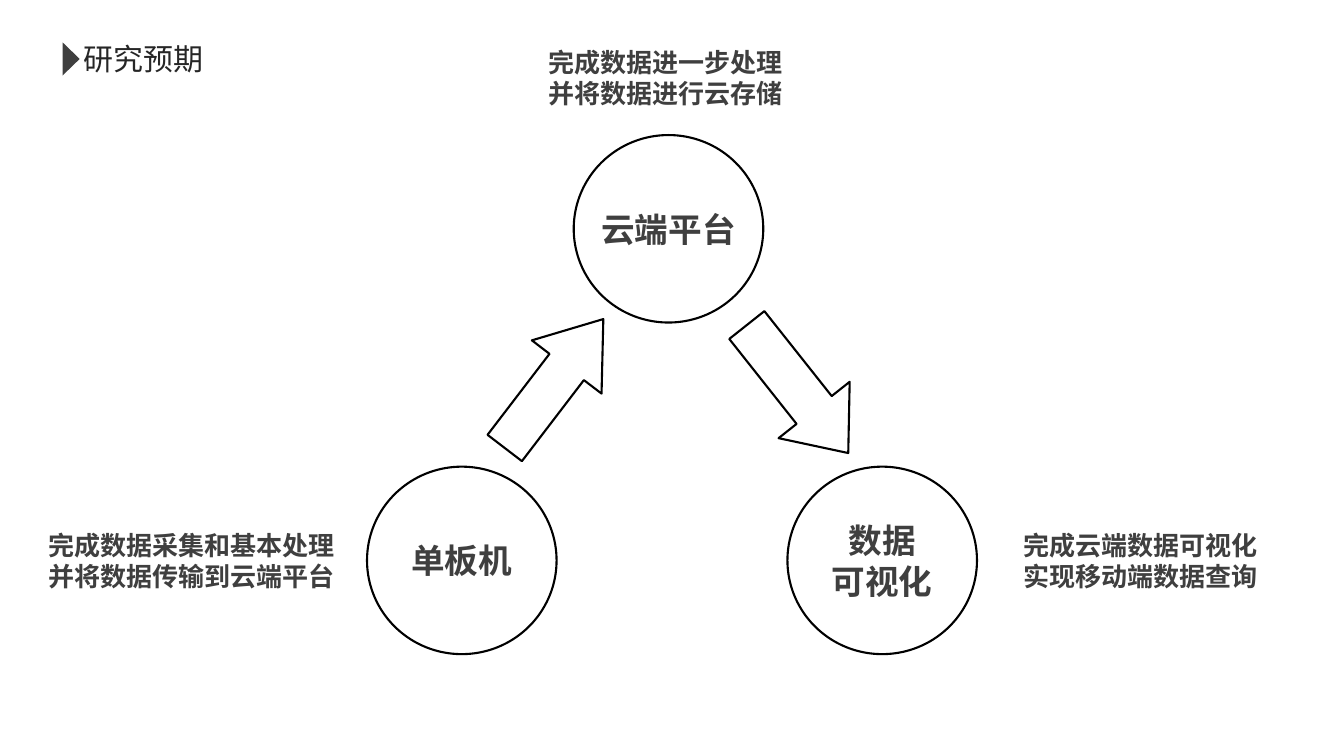
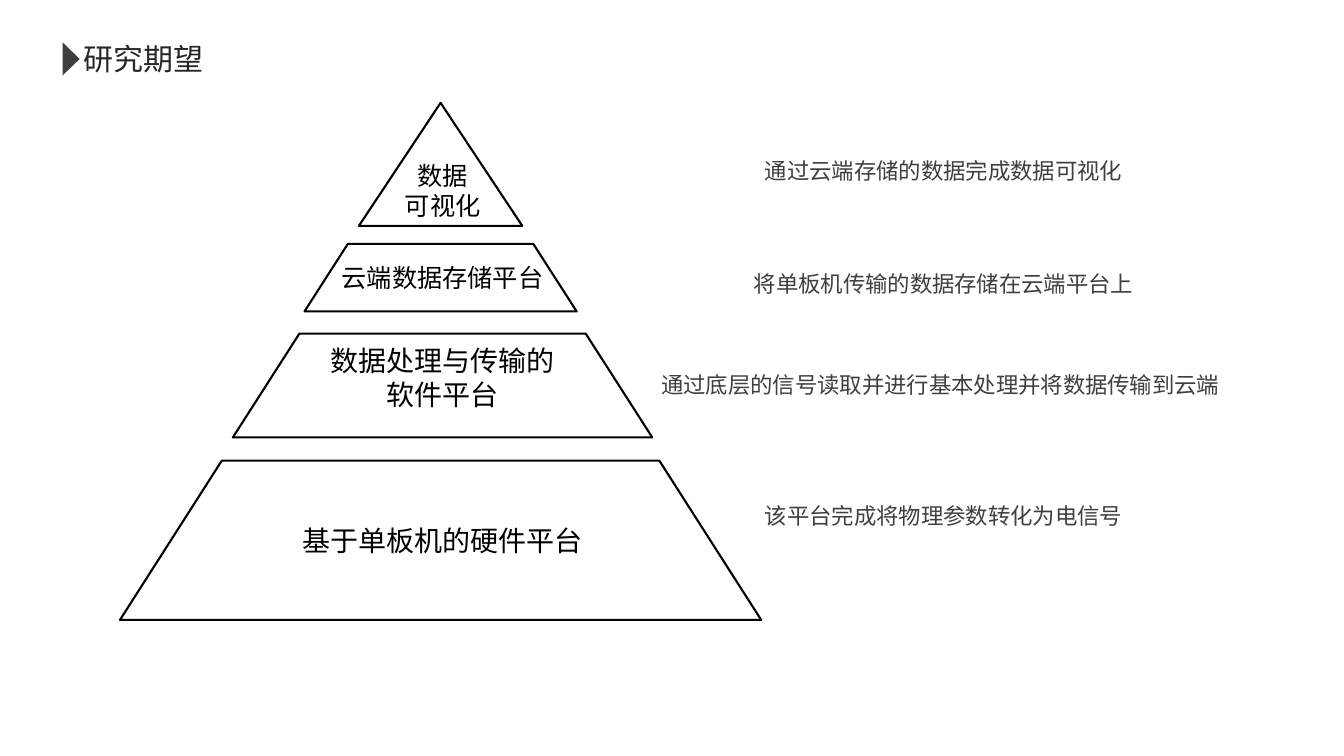
from lxml.etree import SubElement
from pptx import Presentation
from pptx.dml.color import RGBColor
from pptx.enum.shapes import MSO_SHAPE as SHAPE
from pptx.enum.text import MSO_ANCHOR as ANCHOR, PP_ALIGN as ALIGN
from pptx.oxml.ns import qn
from pptx.util import Pt

PX = 9144
COLORS = {"title": "262626", "body": "3F3F3F", "line": "000000"}
CJK = "Noto Sans CJK SC"
NODE_W, NODE_H = 188, 186


def rgb(name):
    return RGBColor.from_string(COLORS[name])


def px(*lengths):
    return [n * PX for n in lengths]


def write(shape, lines, size, color="body", font="Arial", bold=False, align=ALIGN.CENTER,
          anchor=ANCHOR.MIDDLE, wrap=True, insets=(10, 5, 10, 5), spacing=None):
    tf = shape.text_frame
    tf.word_wrap = wrap
    tf.vertical_anchor = anchor
    tf.margin_left, tf.margin_top, tf.margin_right, tf.margin_bottom = px(*insets)
    tf.text = "\n".join(lines)
    for p in tf.paragraphs:
        p.alignment = align
        if spacing:
            p.line_spacing = spacing
        p.font.size = Pt(size)
        p.font.bold = bold
        p.font.name = font
        p.font.color.rgb = rgb(color)
        SubElement(p._p.pPr.find(qn("a:defRPr")), qn("a:ea"), typeface=CJK)


def outline(shape):
    shape.shadow.inherit = False
    shape.fill.background()
    shape.line.color.rgb = rgb("line")
    shape.line.width = Pt(1.5)
    return shape


def add_text(s, box, lines, size, **style):
    write(s.shapes.add_textbox(*px(*box)), lines, size, **style)


def titled_slide(prs, title):
    s = prs.slides.add_slide(prs.slide_layouts[5])
    t = s.shapes.title
    t.left, t.top, t.width, t.height = px(73, 35, 139, 46)
    write(t, [title], 21.4, color="title", font=CJK, align=ALIGN.LEFT,
          anchor=ANCHOR.TOP, wrap=False)
    marker = s.shapes.add_shape(SHAPE.ISOSCELES_TRIANGLE, *px(54, 50, 33, 17))
    marker.rotation = 90
    marker.shadow.inherit = False
    marker.fill.solid()
    marker.fill.fore_color.rgb = rgb("body")
    marker.line.fill.background()
    return s


def add_node(s, x, y, lines):
    node = outline(s.shapes.add_shape(SHAPE.OVAL, *px(x, y, NODE_W, NODE_H)))
    write(node, lines, 24, bold=True, wrap=False, insets=(0, 0, 0, 0))


def add_arrow(s, box, angle, head):
    arrow = outline(s.shapes.add_shape(SHAPE.RIGHT_ARROW, *px(*box)))
    arrow.rotation = angle
    arrow.adjustments[0] = 0.494
    arrow.adjustments[1] = head


def add_tier(s, cx, top, bottom, half_top, half_bottom, label, size, insets):
    fb = s.shapes.build_freeform(cx - half_top, top, scale=PX)
    fb.add_line_segments([(cx + half_top, top), (cx + half_bottom, bottom),
                          (cx - half_bottom, bottom)])
    write(outline(fb.convert_to_shape()), [label], size, color="line", insets=insets)


def cycle_slide(prs):
    s = titled_slide(prs, "研究预期")
    add_arrow(s, (469, 337, 161, 87), 307.4, 0.687)
    add_arrow(s, (710, 341, 162, 90), 51.6, 0.605)
    for x, y, lines in [(569, 134, ["云端平台"]),
                        (781, 463, ["数据", "可视化"]),
                        (364, 463, ["单板机"])]:
        add_node(s, x, y, lines)
    for box, align, lines in [
        ((38, 520, 312, 73), ALIGN.LEFT, ["完成数据采集和基本处理", "并将数据传输到云端平台"]),
        ((534, 41, 264, 73), ALIGN.LEFT, ["完成数据进一步处理", "并将数据进行云存储"]),
        ((991, 520, 280, 73), ALIGN.CENTER, ["完成云端数据可视化", "实现移动端数据查询"]),
    ]:
        add_text(s, box, lines, 18.6, bold=True, align=align, anchor=ANCHOR.TOP)


def pyramid_slide(prs):
    s = titled_slide(prs, "研究期望")
    top = outline(s.shapes.add_shape(SHAPE.ISOSCELES_TRIANGLE, *px(356, 102, 162, 122)))
    write(top, ["数据", "可视化"], 18, color="line", anchor=ANCHOR.BOTTOM,
          wrap=False, insets=(4, 0, 0, 5))
    for tier in [
        (437, 242, 309, 92, 135, "云端数据存储平台", 18, (10, 5, 6, 5)),
        (439, 331, 434, 142, 208, "数据处理与传输的软件平台", 20, (92, 0, 92, 16)),
        (437, 457, 615, 217, 318, "基于单板机的硬件平台", 20, (14, 5, 10, 5)),
    ]:
        add_tier(s, *tier)
    for box, align, note in [
        ((741, 137, 390, 51), ALIGN.CENTER, "通过云端存储的数据完成数据可视化"),
        ((715, 242, 442, 66), ALIGN.CENTER, "将单板机传输的数据存储在云端平台上"),
        ((646, 349, 579, 51), ALIGN.LEFT, "通过底层的信号读取并进行基本处理并将数据传输到云端"),
        ((742, 479, 388, 51), ALIGN.CENTER, "该平台完成将物理参数转化为电信号"),
    ]:
        add_text(s, box, [note], 16, font=CJK, align=align, spacing=1.5)


def main():
    prs = Presentation()
    prs.slide_width, prs.slide_height = px(1333, 750)
    cycle_slide(prs)
    pyramid_slide(prs)
    prs.save("out.pptx")


if __name__ == "__main__":
    main()
